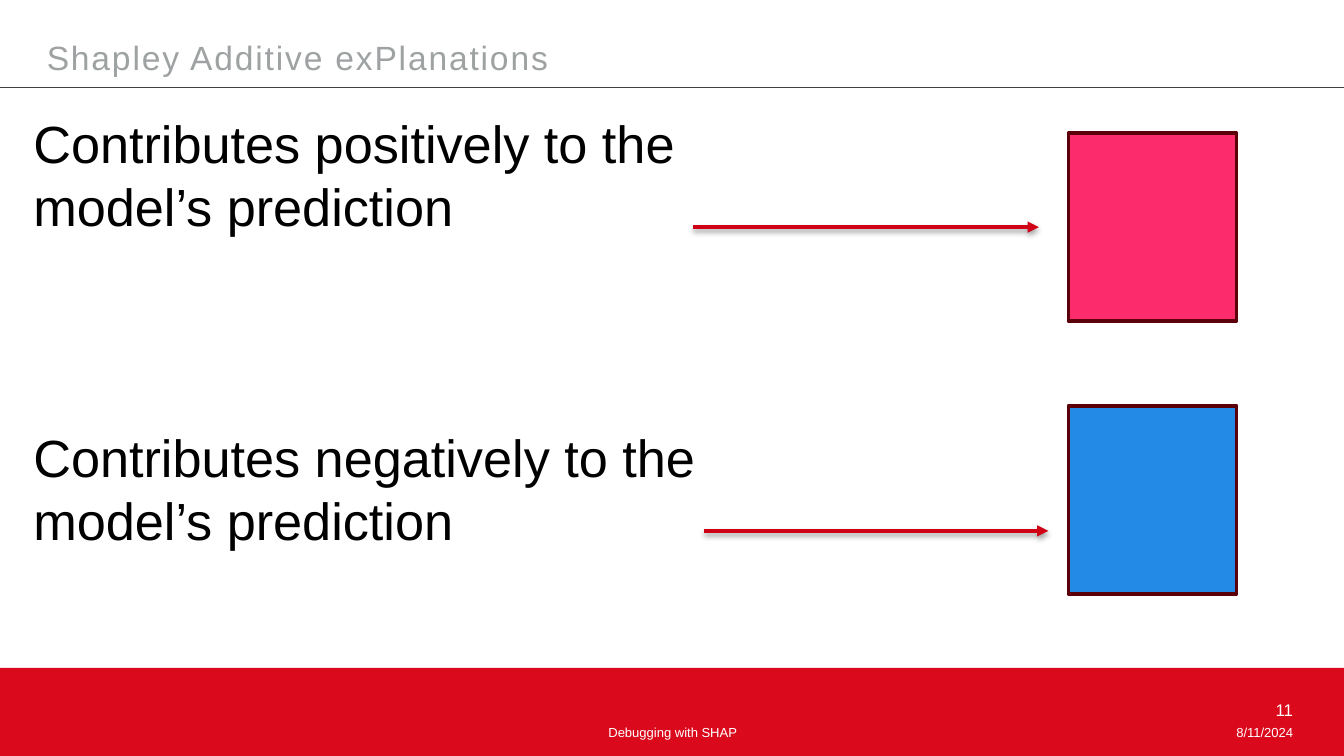
from dataclasses import dataclass

from lxml.etree import SubElement
from pptx import Presentation
from pptx.dml.color import RGBColor
from pptx.enum.shapes import MSO_CONNECTOR, MSO_SHAPE
from pptx.enum.text import MSO_ANCHOR, PP_ALIGN
from pptx.oxml.ns import qn
from pptx.shapes.autoshape import Shape
from pptx.shapes.connector import Connector
from pptx.slide import Slide
from pptx.util import Inches, Pt

WHITE = RGBColor(0xFF, 0xFF, 0xFF)
BLACK = RGBColor(0x00, 0x00, 0x00)
GRAY = RGBColor(0x9E, 0xA2, 0xA2)
DARK = RGBColor(0x40, 0x40, 0x40)
BAND = RGBColor(0xDB, 0x09, 0x1C)
RED = RGBColor(0xD0, 0x00, 0x16)
MAROON = RGBColor(0x5B, 0x00, 0x0A)
PINK = RGBColor(0xFC, 0x2B, 0x6B)
BLUE = RGBColor(0x23, 0x8A, 0xE5)


@dataclass
class Label:
    lines: list[str]
    left: float
    top: float
    width: float
    height: float
    size: float
    color: RGBColor
    align: PP_ALIGN = PP_ALIGN.LEFT
    anchor: MSO_ANCHOR = MSO_ANCHOR.TOP
    gap: float = 0


@dataclass
class Effect:
    color: RGBColor
    top: float
    start: float
    end: float
    level: float


TITLE = Label(["Shapley Additive exPlanations"], 0.25, 0.21, 9.1, 0.43, 18,
              GRAY, anchor=MSO_ANCHOR.MIDDLE)
BODY = Label(["Contributes positively to the model’s prediction",
              "Contributes negatively to the model’s prediction"],
             0.15, 0.78, 6.37, 3.4, 28, BLACK, gap=101)
FOOT = [
    Label(["8/11/2024"], 7.39, 5.34, 2.33, 0.1, 7, WHITE, PP_ALIGN.RIGHT),
    Label(["Debugging with SHAP"], 3.42, 5.34, 3.17, 0.25, 7, WHITE, PP_ALIGN.CENTER),
    Label(["11"], 7.39, 5.16, 2.33, 0.1, 9, WHITE, PP_ALIGN.RIGHT),
]
EFFECTS = [
    Effect(PINK, 0.99, 5.16, 7.73, 1.69),
    Effect(BLUE, 3.02, 5.24, 7.8, 3.95),
]


def add_label(slide: Slide, label: Label) -> Shape:
    box = slide.shapes.add_textbox(Inches(label.left), Inches(label.top),
                                   Inches(label.width), Inches(label.height))
    frame = box.text_frame
    frame.word_wrap = True
    frame.vertical_anchor = label.anchor
    for index, line in enumerate(label.lines):
        para = frame.add_paragraph() if index else frame.paragraphs[0]
        para.text = line
        para.alignment = label.align
        if index:
            para.space_before = Pt(label.gap)
        para.font.name = "Arial"
        para.font.size = Pt(label.size)
        para.font.color.rgb = label.color
    return box


def add_rect(slide: Slide, left: float, top: float, width: float,
             height: float, color: RGBColor) -> Shape:
    rect = slide.shapes.add_shape(MSO_SHAPE.RECTANGLE, Inches(left), Inches(top),
                                  Inches(width), Inches(height))
    rect.shadow.inherit = False
    rect.fill.solid()
    rect.fill.fore_color.rgb = color
    rect.line.fill.background()
    return rect


def add_line(slide: Slide, start: float, end: float, level: float,
             color: RGBColor, weight: float) -> Connector:
    line = slide.shapes.add_connector(MSO_CONNECTOR.STRAIGHT, Inches(start),
                                      Inches(level), Inches(end), Inches(level))
    line.line.color.rgb = color
    line.line.width = Pt(weight)
    SubElement(line._element.spPr, qn("a:effectLst"))
    return line


def add_arrow(slide: Slide, effect: Effect) -> None:
    arrow = add_line(slide, effect.start, effect.end, effect.level, RED, 2)
    props = arrow._element.spPr
    SubElement(props.find(qn("a:ln")), qn("a:tailEnd"), type="triangle")
    shadow = SubElement(props.find(qn("a:effectLst")), qn("a:outerShdw"),
                        blurRad=str(Pt(3.1)), dist=str(Pt(1.6)),
                        dir="5400000", rotWithShape="0")
    shade = SubElement(shadow, qn("a:srgbClr"), val=str(BLACK))
    SubElement(shade, qn("a:alpha"), val="38000")


def main() -> None:
    deck = Presentation()
    deck.slide_width = Inches(10)
    deck.slide_height = Inches(10 * 9 / 16)
    slide = deck.slides.add_slide(deck.slide_layouts[6])

    add_rect(slide, 0, 4.97, 10, 0.67, BAND)
    for label in FOOT:
        add_label(slide, label)
    add_line(slide, 0, 10, 0.65, DARK, 0.5)

    title = add_label(slide, TITLE)
    run = title.text_frame.paragraphs[0].runs[0]
    run.font._element.set("spc", "100")
    add_label(slide, BODY)

    for effect in EFFECTS:
        square = add_rect(slide, 7.95, effect.top, 1.25, 1.4, effect.color)
        square.line.color.rgb = MAROON
        square.line.width = Pt(2)
    for effect in EFFECTS:
        add_arrow(slide, effect)

    deck.save("out.pptx")


if __name__ == "__main__":
    main()
